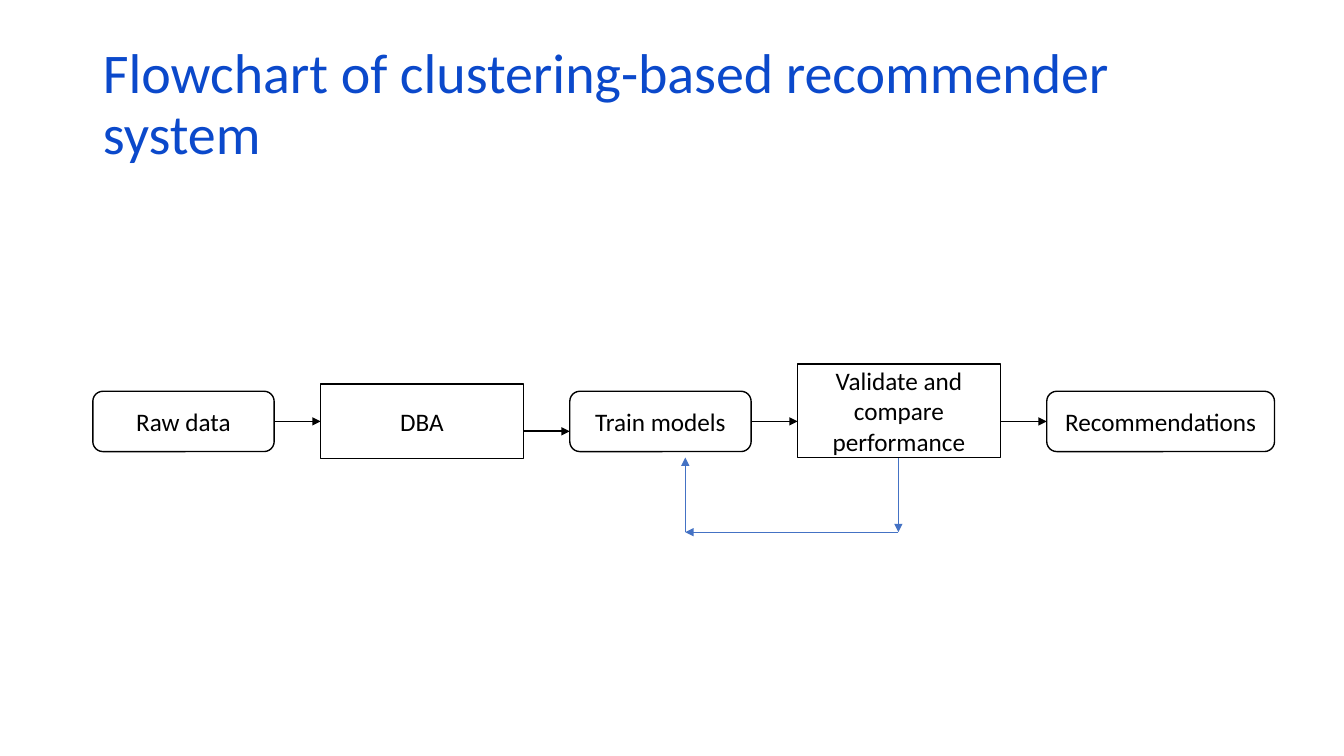
from pptx import Presentation
from pptx.dml.color import RGBColor
from pptx.enum.shapes import MSO_CONNECTOR as Link, MSO_SHAPE as Kind
from pptx.enum.text import MSO_ANCHOR as Anchor, PP_ALIGN as Align
from pptx.oxml.ns import qn
from pptx.util import Cm, Pt
from lxml.etree import SubElement


def write(frame, text, size, color):
    run = frame.paragraphs[0].add_run()
    run.text = text
    run.font.name = "Calibri"
    run.font.size = Pt(size)
    run.font.color.rgb = RGBColor.from_string(color)


def arrow(x1, y1, x2, y2, color, width):
    link = slide.shapes.add_connector(Link.STRAIGHT, Cm(x1), Cm(y1), Cm(x2), Cm(y2))
    link.line.color.rgb = RGBColor.from_string(color)
    link.line.width = Pt(width)
    props = link.line._get_or_add_ln()
    SubElement(props, qn("a:tailEnd"), type="triangle")
    SubElement(props.getparent(), qn("a:effectLst"))


deck = Presentation()
deck.slide_width, deck.slide_height = Cm(33.87), Cm(19.05)
slide = deck.slides.add_slide(deck.slide_layouts[5])

title = slide.shapes.title
title.left, title.top, title.width, title.height = Cm(2.34), Cm(1.02), Cm(29.21), Cm(3.68)
frame = title.text_frame
frame.word_wrap = True
frame.vertical_anchor = Anchor.TOP
frame.paragraphs[0].alignment = Align.LEFT
frame.paragraphs[0].line_spacing = 0.9
write(frame, "Flowchart of clustering-based recommender system", 40, "0B49CB")

axis = 10.62
gap = 1.17
steps = [
    ("Raw data", Kind.ROUNDED_RECTANGLE, 4.57, 1.52, axis, axis),
    ("DBA", Kind.RECTANGLE, 5.11, 1.88, axis, 10.87),
    ("Train models", Kind.ROUNDED_RECTANGLE, 4.57, 1.52, axis, axis),
    ("Validate and compare performance", Kind.RECTANGLE, 5.11, 2.36, 10.35, axis),
    ("Recommendations", Kind.ROUNDED_RECTANGLE, 5.74, 1.52, axis, None),
]
left = 2.34
for text, kind, width, height, mid, exit in steps:
    box = slide.shapes.add_shape(kind, Cm(left), Cm(mid - height / 2), Cm(width), Cm(height))
    box.shadow.inherit = False
    if kind == Kind.RECTANGLE:
        box.fill.solid()
        box.fill.fore_color.rgb = RGBColor.from_string("FFFFFF")
    else:
        box.fill.background()
    box.line.color.rgb = RGBColor.from_string("000000")
    box.line.width = Pt(1)
    frame = box.text_frame
    frame.word_wrap = True
    frame.vertical_anchor = Anchor.MIDDLE
    frame.paragraphs[0].alignment = Align.CENTER
    write(frame, text, 18, "000000")
    left += width
    if exit:
        arrow(left, exit, left + gap, exit, "000000", 1.25)
    left += gap

loop = [(22.64, 11.53), (22.64, 13.41), (17.27, 13.41), (17.27, 11.53)]
for start, end in zip(loop, loop[1:]):
    arrow(*start, *end, "4472C4", 0.5)

deck.save("out.pptx")
